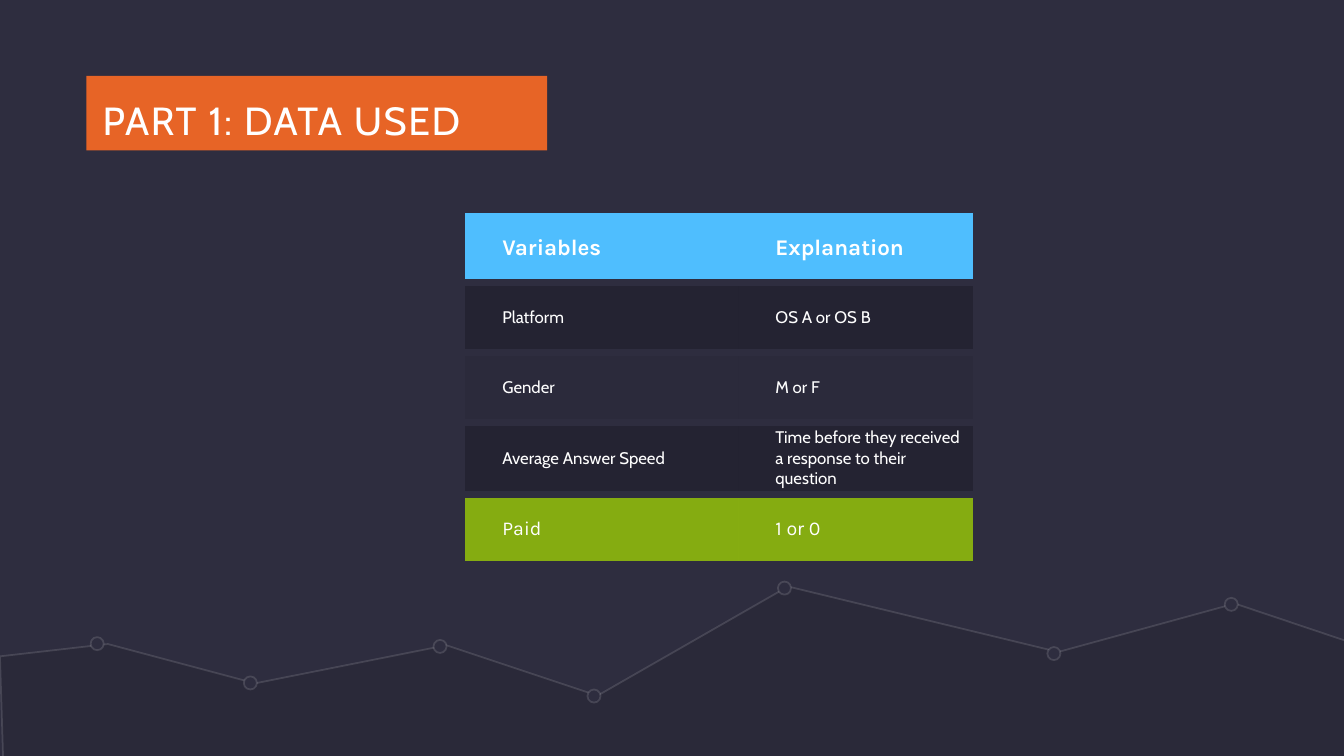
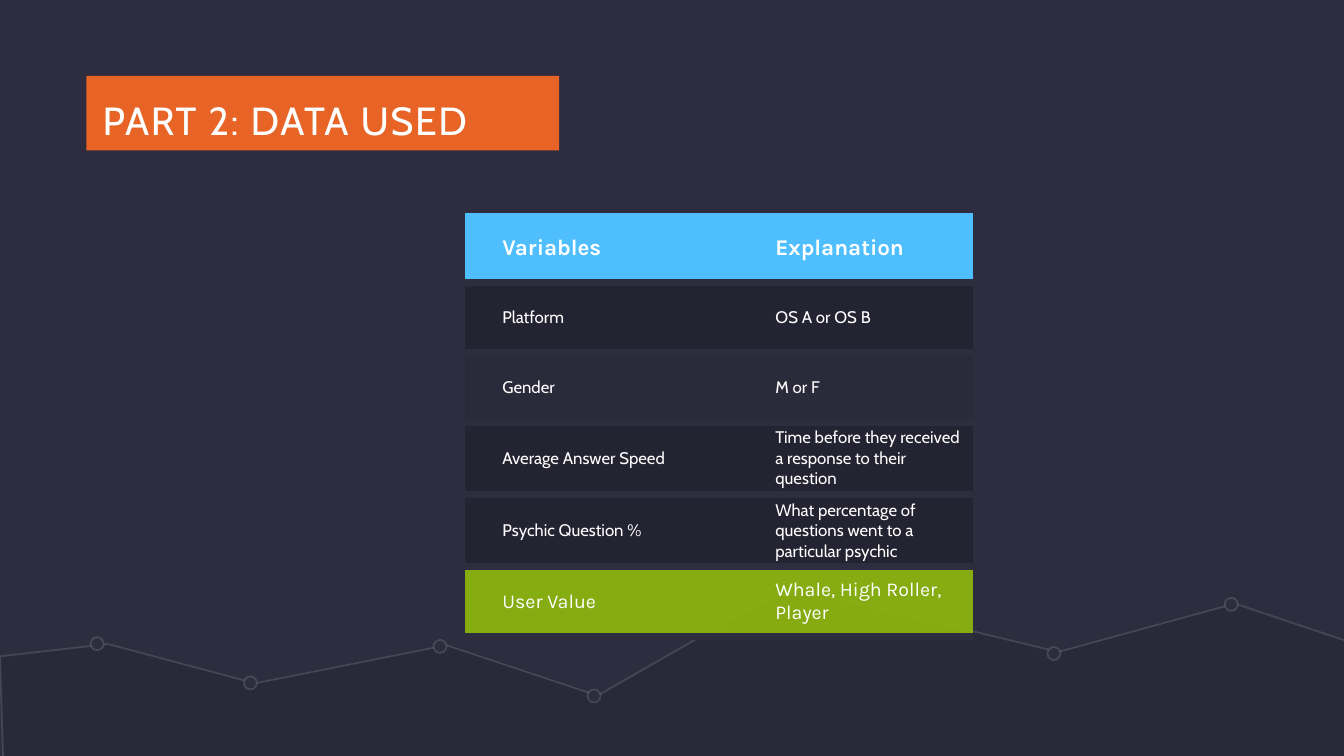
"""Build two dark slides that list the variables used in each part of a study."""
from dataclasses import dataclass
from typing import NamedTuple

from lxml import etree
from pptx import Presentation
from pptx.dml.color import RGBColor
from pptx.dml.fill import FillFormat
from pptx.enum.shapes import MSO_SHAPE
from pptx.enum.text import MSO_ANCHOR, PP_ALIGN
from pptx.oxml.ns import qn
from pptx.shapes.autoshape import Shape
from pptx.slide import Slide
from pptx.table import _Cell
from pptx.text.text import _Paragraph
from pptx.util import Cm, Pt

RECT, OVAL = MSO_SHAPE.RECTANGLE, MSO_SHAPE.OVAL
MIDDLE, LEFT = MSO_ANCHOR.MIDDLE, PP_ALIGN.LEFT
PLAIN_TABLE = "{2D5ABB26-0587-4C30-8999-92F81FD0307C}"


class Paint(NamedTuple):
    rgb: str
    alpha: int = 100


class Type(NamedTuple):
    font: str
    size: int
    bold: bool = False
    spacing: float = 0


@dataclass(frozen=True)
class Theme:
    back: Paint = Paint("2E2D3F")
    text: Paint = Paint("FFFFFF")
    band: Paint = Paint("E76426")
    range_fill: Paint = Paint("23222F", 34)
    range_line: Paint = Paint("FFFFFF", 13)
    header: Paint = Paint("4FBEFE")
    dark: Paint = Paint("171620", 40)
    faint: Paint = Paint("171620", 10)
    target: Paint = Paint("8FBA0D", 90)
    title_type: Type = Type("Cabin", 28, spacing=1.2)
    header_type: Type = Type("Karla", 16, bold=True)
    body_type: Type = Type("Cabin", 12)
    target_type: Type = Type("Karla", 14)
    line_width: float = 1.25
    row_gap: float = 6


T = Theme()


class RowStyle(NamedTuple):
    fill: Paint
    type: Type
    height: float = 1.76


HEADER = RowStyle(T.header, T.header_type)
DARK = RowStyle(T.dark, T.body_type)
TALL = RowStyle(T.dark, T.body_type, 1.82)
FAINT = RowStyle(T.faint, T.body_type)
TARGET = RowStyle(T.target, T.target_type)


class Row(NamedTuple):
    variable: str
    explanation: str
    style: RowStyle


class Part(NamedTuple):
    title: str
    band_width: float
    rows: list[Row]


SHARED_ROWS = [
    Row("Variables", "Explanation", HEADER),
    Row("Platform", "OS A or OS B", DARK),
    Row("Gender", "M or F", FAINT),
    Row("Average Answer Speed",
        "Time before they received a response to their question", TALL),
]
PARTS = [
    Part("PART 1: DATA USED", 11.61,
         SHARED_ROWS + [Row("Paid", "1 or 0", TARGET)]),
    Part("PART 2: DATA USED", 11.91, SHARED_ROWS + [
        Row("Psychic Question %",
            "What percentage of questions went to a particular psychic", TALL),
        Row("User Value", "Whale, High Roller, Player", TARGET),
    ]),
]

COLUMNS = (6.88, 5.92)
RANGE = [(0, 16.54), (2.72, 16.23), (6.43, 17.22), (11.25, 16.26),
         (15.06, 17.53), (19.86, 14.78), (26.67, 16.43), (31.12, 15.21),
         (34.01, 16.18), (34.09, 19.13), (0.08, 19.13)]
NODES = [(2.45, 16.22), (6.31, 17.21), (11.09, 16.29), (14.97, 17.54),
         (19.77, 14.82), (26.56, 16.47), (31.03, 15.23)]
NODE_SIZE = 0.33


def paint(fill: FillFormat, colour: Paint) -> None:
    fill.solid()
    fill.fore_color.rgb = RGBColor.from_string(colour.rgb)
    if colour.alpha < 100:
        clr = fill._xPr.find(qn("a:solidFill")).find(qn("a:srgbClr"))
        etree.SubElement(clr, qn("a:alpha"), val=str(colour.alpha * 1000))


def style_shape(sp: Shape, fill: Paint, line: Paint | None = None) -> None:
    sp.shadow.inherit = False
    paint(sp.fill, fill)
    if line:
        paint(sp.line.fill, line)
        sp.line.width = Pt(T.line_width)
    else:
        sp.line.fill.background()


def add_text(p: _Paragraph, text: str, style: Type) -> None:
    p.alignment = LEFT
    r = p.add_run()
    r.text = text
    r.font.name, r.font.size, r.font.bold = style.font, Pt(style.size), style.bold
    paint(r.font.fill, T.text)
    if style.spacing:
        r._r.get_or_add_rPr().set("spc", str(round(style.spacing * 100)))


def add_range(s: Slide) -> None:
    points = [(Cm(x), Cm(y)) for x, y in RANGE]
    fb = s.shapes.build_freeform(*points[0])
    fb.add_line_segments(points[1:], close=True)
    style_shape(fb.convert_to_shape(), T.range_fill, T.range_line)
    for x, y in NODES:
        sp = s.shapes.add_shape(OVAL, Cm(x - NODE_SIZE / 2), Cm(y - NODE_SIZE / 2),
                                Cm(NODE_SIZE), Cm(NODE_SIZE))
        style_shape(sp, T.back, T.range_line)


def add_title(s: Slide, text: str, width: float) -> None:
    sp = s.shapes.add_shape(RECT, Cm(2.18), Cm(1.91), Cm(width), Cm(1.88))
    style_shape(sp, T.band)
    tf = sp.text_frame
    tf.word_wrap, tf.vertical_anchor = True, MIDDLE
    tf.margin_left = tf.margin_right = Cm(0.41)
    tf.margin_top = tf.margin_bottom = Cm(0.15)
    p = tf.paragraphs[0]
    p.line_spacing = 1.3
    add_text(p, text, T.title_type)


def add_gap_below(cell: _Cell) -> None:
    ln = etree.Element(qn("a:lnB"), w=str(Pt(T.row_gap)))
    fill = etree.SubElement(ln, qn("a:solidFill"))
    etree.SubElement(fill, qn("a:srgbClr"), val=T.back.rgb)
    cell._tc.get_or_add_tcPr().insert(0, ln)


def add_variables(s: Slide, rows: list[Row]) -> None:
    height = sum(row.style.height for row in rows)
    table = s.shapes.add_table(len(rows), len(COLUMNS), Cm(11.72), Cm(5.36),
                               Cm(sum(COLUMNS)), Cm(height)).table
    table.horz_banding = False
    table._tbl.tblPr.find(qn("a:tableStyleId")).text = PLAIN_TABLE
    for column, width in zip(table.columns, COLUMNS):
        column.width = Cm(width)
    for i, row in enumerate(rows):
        table.rows[i].height = Cm(row.style.height)
        for j, text in enumerate((row.variable, row.explanation)):
            cell = table.cell(i, j)
            cell.vertical_anchor, cell.margin_left = MIDDLE, Cm(0.94)
            paint(cell.fill, row.style.fill)
            add_gap_below(cell)
            add_text(cell.text_frame.paragraphs[0], text, row.style.type)


def main() -> None:
    prs = Presentation()
    prs.slide_width, prs.slide_height = Cm(33.87), Cm(19.05)
    paint(prs.slide_master.background.fill, T.back)
    for part in PARTS:
        s = prs.slides.add_slide(prs.slide_layouts[6])
        add_range(s)
        add_title(s, part.title, part.band_width)
        add_variables(s, part.rows)
    prs.save("out.pptx")


if __name__ == "__main__":
    main()
